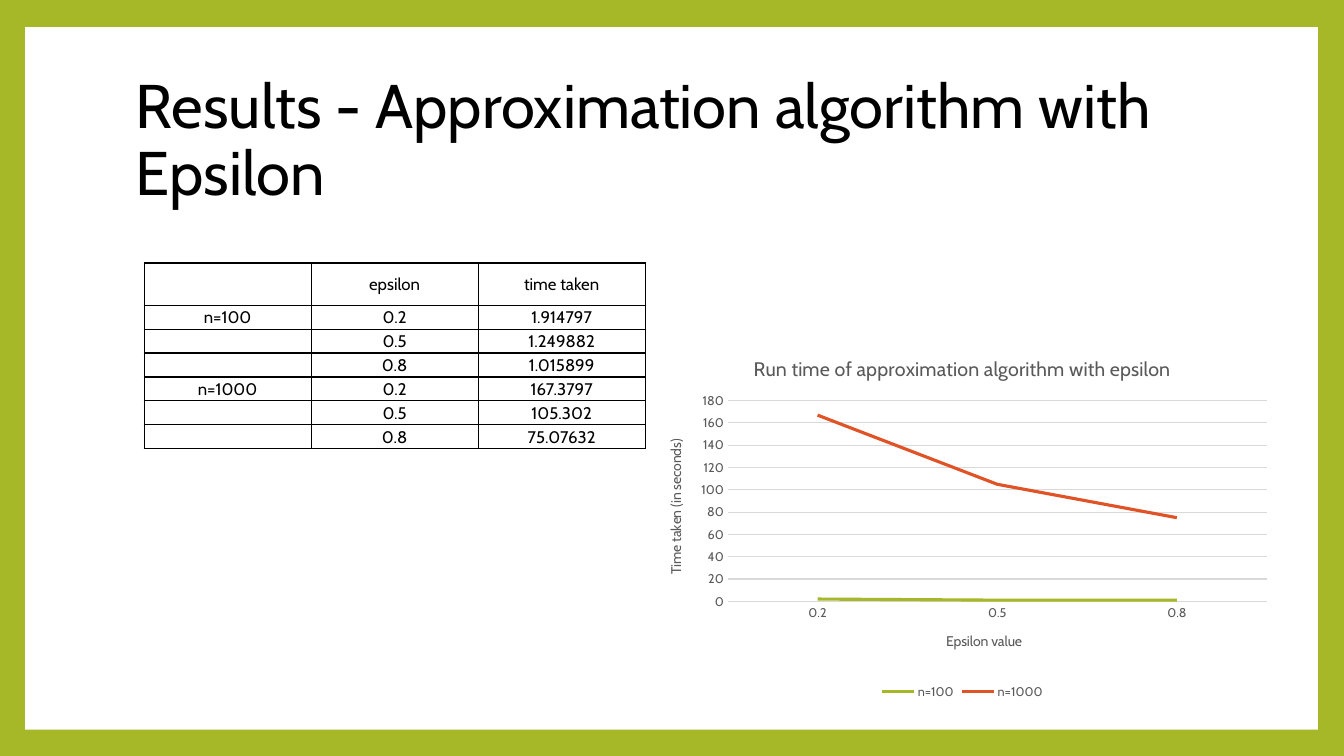
import pptx
import pptx.chart.data
import pptx.dml.color
import pptx.enum.chart
import pptx.enum.shapes
import pptx.enum.text
import pptx.oxml
import pptx.oxml.ns
import pptx.util
from lxml import etree

Inches = pptx.util.Inches
Pt = pptx.util.Pt
qn = pptx.oxml.ns.qn

FONT = "Cabin"
GREEN, ORANGE = "A6B727", "DF5327"
BLACK, WHITE, GREY, PALE = "000000", "FFFFFF", "595959", "D9D9D9"
EPSILONS = ["0.2", "0.5", "0.8"]
RUN_TIMES = {
    "n=100": [1.914797, 1.249882, 1.015899],
    "n=1000": [167.3797, 105.302, 75.07632],
}


def rgb(code):
    """Turn a hex string into a colour."""
    return pptx.dml.color.RGBColor.from_string(code)


def apply(target, formats):
    """Set every attribute in a dict of format values."""
    for name, value in formats.items():
        setattr(target, name, value)


def style_font(font, size, color):
    """Give a font its face, size and colour."""
    apply(font, {"name": FONT, "size": Pt(size), "bold": False})
    font.color.rgb = rgb(color)


def add_panel(slide):
    """Draw the white panel that leaves a green frame."""
    panel = slide.shapes.add_shape(
        pptx.enum.shapes.MSO_SHAPE.RECTANGLE,
        Inches(0.25), Inches(0.27), Inches(12.82), Inches(6.97))
    panel.shadow.inherit = False
    panel.fill.solid()
    panel.fill.fore_color.rgb = rgb(WHITE)
    panel.line.fill.background()


def add_heading(slide, text):
    """Write the slide heading."""
    heading = slide.shapes.add_textbox(
        Inches(1.25), Inches(0.67), Inches(10.8), Inches(1.48)).text_frame
    apply(heading, {"word_wrap": True,
                    "vertical_anchor": pptx.enum.text.MSO_ANCHOR.MIDDLE})
    paragraph = heading.paragraphs[0]
    paragraph.line_spacing = 0.9
    run = paragraph.add_run()
    run.text = text
    style_font(run.font, 44, BLACK)


def add_borders(cell):
    """Rule all four sides of a cell in black."""
    properties = cell._tc.get_or_add_tcPr()
    for place, side in enumerate(("lnL", "lnR", "lnT", "lnB")):
        border = etree.Element(qn("a:" + side), w=str(Pt(1)))
        fill = etree.SubElement(border, qn("a:solidFill"))
        etree.SubElement(fill, qn("a:srgbClr"), val=BLACK)
        properties.insert(place, border)


def fill_cell(cell, text):
    """Write one centred, bordered table cell."""
    apply(cell, {"margin_left": Inches(0.01), "margin_right": Inches(0.01),
                 "margin_top": Inches(0.01), "margin_bottom": 0,
                 "vertical_anchor": pptx.enum.text.MSO_ANCHOR.MIDDLE})
    cell.fill.background()
    add_borders(cell)
    paragraph = cell.text_frame.paragraphs[0]
    paragraph.alignment = pptx.enum.text.PP_ALIGN.CENTER
    if text:
        run = paragraph.add_run()
        run.text = text
        style_font(run.font, 12, BLACK)
    else:
        etree.SubElement(paragraph._p, qn("a:endParaRPr"), sz="1200")


def add_results_table(slide):
    """List the run time for each size and epsilon."""
    rows = [("", "epsilon", "time taken")]
    for size, times in RUN_TIMES.items():
        for index, (epsilon, time) in enumerate(zip(EPSILONS, times)):
            rows.append(("" if index else size, epsilon, str(time)))
    width, height, header_height = 4.97, 1.84, 0.42
    row_height = (height - header_height) / (len(rows) - 1)
    results = slide.shapes.add_table(
        len(rows), 3, Inches(1.43), Inches(2.61),
        Inches(width), Inches(height)).table
    apply(results, {"first_row": False, "horz_banding": False})
    for column in results.columns:
        column.width = Inches(width / 3)
    for index, texts in enumerate(rows):
        results.rows[index].height = Inches(
            row_height if index else header_height)
        for column, text in enumerate(texts):
            fill_cell(results.cell(index, column), text)


def write_title(owner, text, size):
    """Title a chart or an axis."""
    owner.has_title = True
    frame = (owner.chart_title if hasattr(owner, "chart_title")
             else owner.axis_title).text_frame
    run = frame.paragraphs[0].add_run()
    run.text = text
    style_font(run.font, size, GREY)


def style_line(line, color, width):
    """Give a line its colour and width."""
    line.color.rgb = rgb(color)
    line.width = Pt(width)


def style_axis(axis, title):
    """Title an axis and format its labels."""
    no_tick = pptx.enum.chart.XL_TICK_MARK.NONE
    apply(axis, {"major_tick_mark": no_tick, "minor_tick_mark": no_tick})
    style_font(axis.tick_labels.font, 9, GREY)
    write_title(axis, title, 10)


def place_plot(chart, **fractions):
    """Fix the inner plot area as fractions of the chart."""
    plot_area = chart._chartSpace.chart.plotArea
    for old in plot_area.findall(qn("c:layout")):
        plot_area.remove(old)
    layout = etree.Element(qn("c:layout"))
    plot_area.insert(0, layout)
    manual = etree.SubElement(layout, qn("c:manualLayout"))
    settings = {"layoutTarget": "inner", "xMode": "edge", "yMode": "edge",
                **fractions}
    for name, value in settings.items():
        etree.SubElement(manual, qn("c:" + name), val=str(value))


def add_run_time_chart(slide):
    """Plot run time, in whole seconds, against epsilon."""
    data = pptx.chart.data.CategoryChartData()
    data.categories = EPSILONS
    for size, times in RUN_TIMES.items():
        data.add_series(size, [round(time) for time in times])
    chart = slide.shapes.add_chart(
        pptx.enum.chart.XL_CHART_TYPE.LINE, Inches(6.4), Inches(3.36),
        Inches(6.29), Inches(3.62), data).chart
    style_font(chart.font, 10, BLACK)
    write_title(chart, "Run time of approximation algorithm with epsilon", 14)
    chart.plots[0].vary_by_categories = False
    for series, color in zip(chart.plots[0].series, (GREEN, ORANGE)):
        series.smooth = False
        series.marker.style = pptx.enum.chart.XL_MARKER_STYLE.NONE
        style_line(series.format.line, color, 2.25)

    style_axis(chart.category_axis, "Epsilon value")
    style_line(chart.category_axis.format.line, PALE, 0.75)
    times_axis = chart.value_axis
    style_axis(times_axis, "Time taken (in seconds)")
    apply(times_axis, {"minimum_scale": 0, "maximum_scale": 180,
                       "major_unit": 20, "has_major_gridlines": True})
    times_axis.format.line.fill.background()
    style_line(times_axis.major_gridlines.format.line, PALE, 0.75)

    chart.has_legend = True
    apply(chart.legend, {
        "position": pptx.enum.chart.XL_LEGEND_POSITION.BOTTOM,
        "include_in_layout": False})
    style_font(chart.legend.font, 9, GREY)
    place_plot(chart, x=0.13, y=0.17, w=0.85, h=0.55)


def main():
    """Build and save the slide."""
    deck = pptx.Presentation()
    apply(deck, {"slide_width": Inches(13.33), "slide_height": Inches(7.5)})
    slide = deck.slides.add_slide(deck.slide_layouts[6])
    slide.background.fill.solid()
    slide.background.fill.fore_color.rgb = rgb(GREEN)
    add_panel(slide)
    add_heading(slide, "Results - Approximation algorithm with Epsilon")
    add_results_table(slide)
    add_run_time_chart(slide)
    deck.save("out.pptx")


main()
